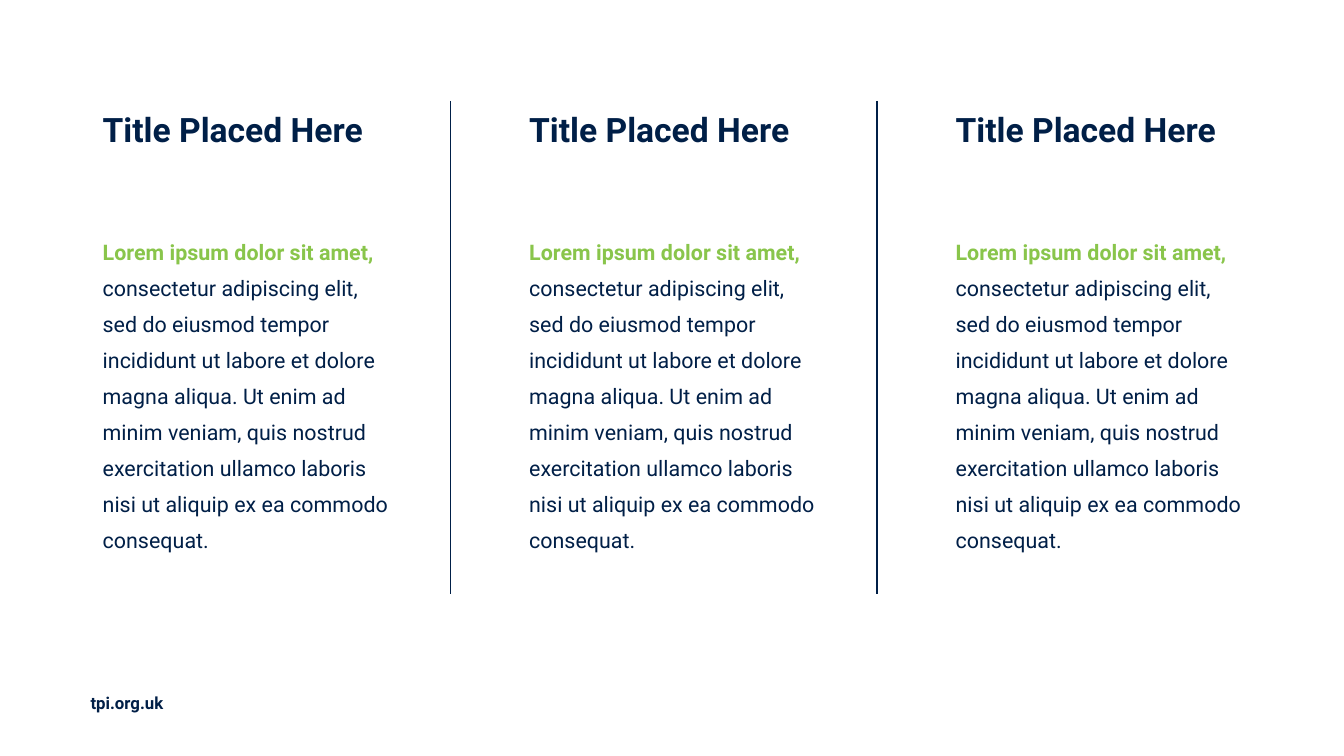
from pptx import Presentation
from pptx.dml.color import RGBColor
from pptx.enum.shapes import MSO_CONNECTOR
from pptx.enum.text import MSO_ANCHOR
from pptx.oxml.ns import qn
from pptx.util import Inches, Pt
from lxml import etree

NAVY = RGBColor(0x00, 0x1F, 0x47)
GREEN = RGBColor(0x89, 0xC5, 0x4B)
FONT = "Roboto"

LEAD = "Lorem ipsum dolor sit amet, "
BODY = (
    "consectetur adipiscing elit, sed do eiusmod tempor incididunt ut labore "
    "et dolore magna aliqua. Ut enim ad minim veniam, quis nostrud exercitation "
    "ullamco laboris nisi ut aliquip ex ea commodo consequat."
)
COLUMNS = [("Title Placed Here", LEAD, BODY)] * 3
FOOTER = "tpi.org.uk"

LEFT, PITCH, WIDTH = 0.92, 4.23, 3.04
DIVIDER_OFFSET = 0.68


def add_text(slide, left, top, width, height, runs, size, spacing=1.0,
             anchor=MSO_ANCHOR.TOP):
    box = slide.shapes.add_textbox(
        Inches(left), Inches(top), Inches(width), Inches(height))
    tf = box.text_frame
    tf.word_wrap = True
    tf.vertical_anchor = anchor
    p = tf.paragraphs[0]
    p.line_spacing = spacing
    for text, color, bold in runs:
        r = p.add_run()
        r.text = text
        r.font.name = FONT
        r.font.size = Pt(size)
        r.font.bold = bold
        r.font.color.rgb = color


def add_divider(slide, x):
    line = slide.shapes.add_connector(
        MSO_CONNECTOR.STRAIGHT, Inches(x), Inches(1), Inches(x), Inches(5.89))
    line.line.color.rgb = NAVY
    line.line.width = Pt(1)
    etree.SubElement(line._element.spPr, qn("a:effectLst"))


def main():
    prs = Presentation()
    prs.slide_width, prs.slide_height = Inches(13.33), Inches(7.5)
    slide = prs.slides.add_slide(prs.slide_layouts[6])

    add_text(slide, 0.8, 6.82, 1.2, 0.3, [(FOOTER, NAVY, True)], 12)
    for i, (title, lead, body) in enumerate(COLUMNS):
        x = LEFT + i * PITCH
        add_text(slide, x, 0.85, WIDTH, 0.91, [(title, NAVY, True)], 24,
                 0.9, MSO_ANCHOR.MIDDLE)
        add_text(slide, x, 2.22, WIDTH, 3.97,
                 [(lead, GREEN, True), (body, NAVY, False)], 15.3, 1.4)
        if i:
            add_divider(slide, x - DIVIDER_OFFSET)

    prs.save("out.pptx")


if __name__ == "__main__":
    main()
